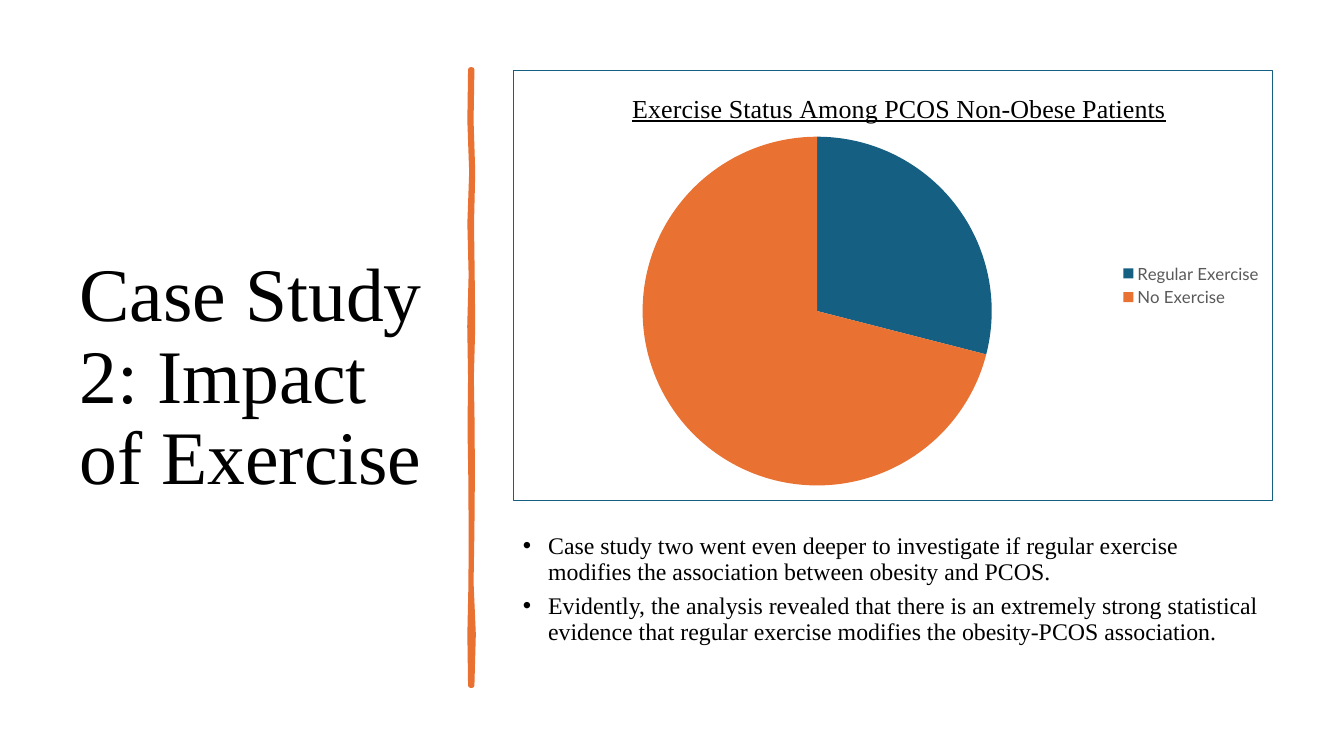
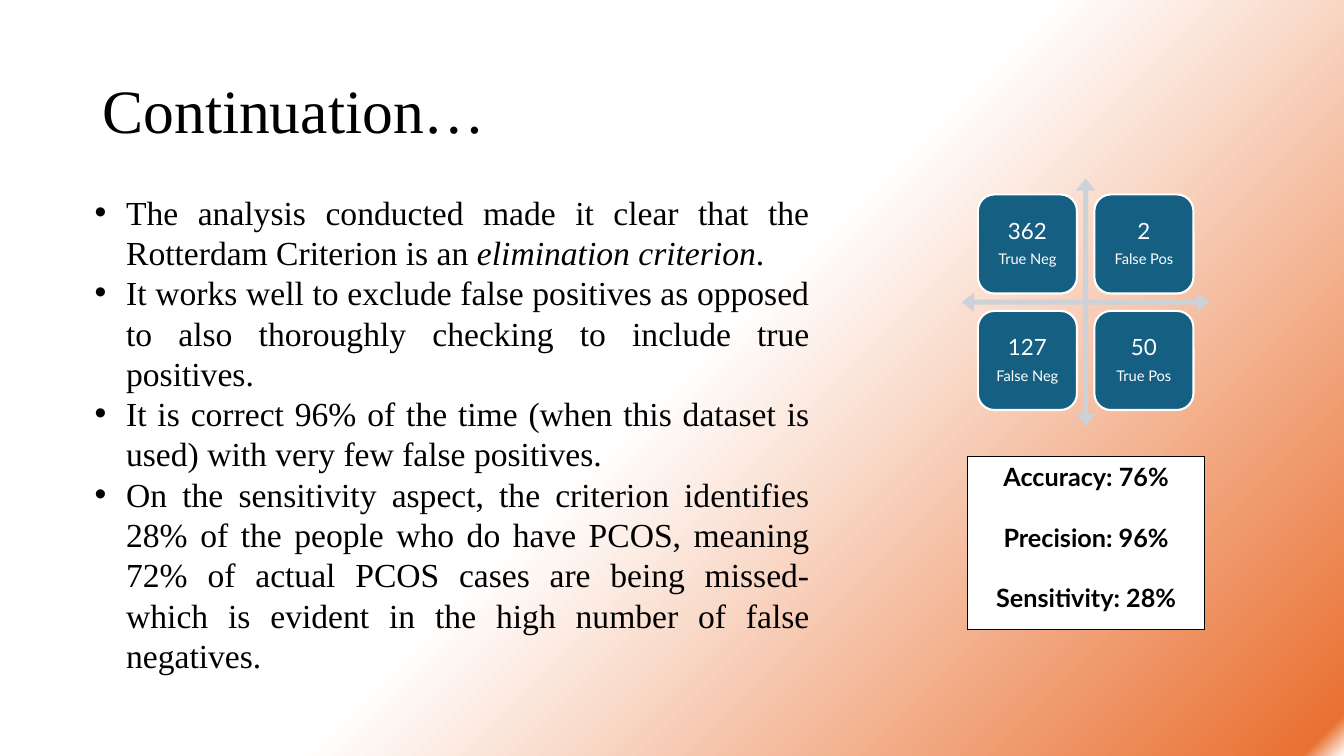
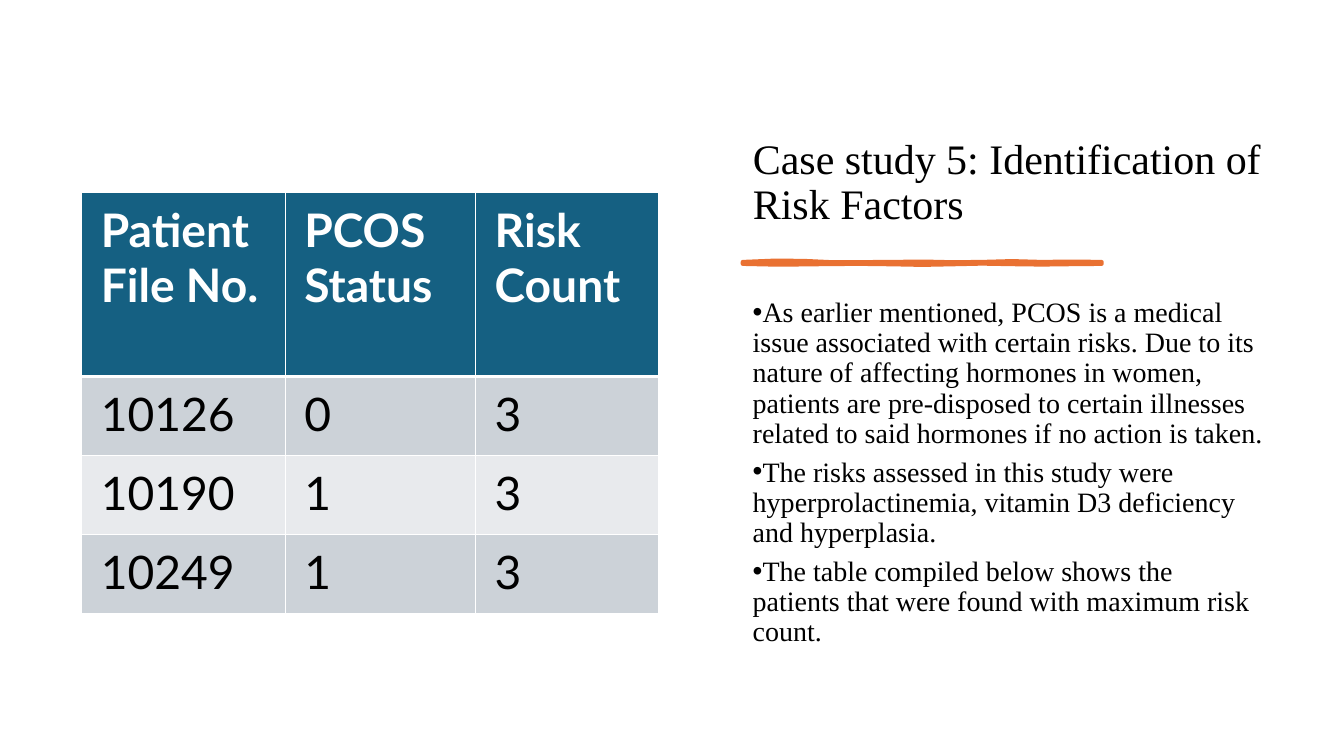
from pptx import Presentation
from pptx import util as u
from pptx.chart import data as chart_data
from pptx.dml import color
from pptx.enum import chart as charts, shapes, text
from pptx.oxml import parse_xml
from pptx.oxml import ns

Pt = u.Pt
COLOURS = {
    "black": "000000", "white": "FFFFFF", "teal": "156082", "orange": "E97132",
    "mist": "CCD2D8", "pale": "E8EAED", "grey": "595959",
}
SERIF, SANS = "Times New Roman", "Lato"
ALIGN = text.PP_ALIGN


def rgb(name):
    return color.RGBColor.from_string(COLOURS[name])


def write(frame, content, size=18, font=SANS, colour="black", bold=False, align=ALIGN.LEFT,
          spacing=1.0, before=0, after=0, bullet=None, underline=False):
    """Add a paragraph; in a tuple of spans every second one is italic."""
    para = frame.add_paragraph() if frame.text else frame.paragraphs[0]
    para.alignment, para.line_spacing = align, spacing
    para.space_before, para.space_after = Pt(before), Pt(after)
    if bullet:
        margin, indent = bullet
        props = para._p.get_or_add_pPr()
        props.set("marL", str(Pt(margin)))
        props.set("indent", str(Pt(indent)))
        props.append(parse_xml(f'<a:buFont {ns.nsdecls("a")} typeface="Arial"/>'))
        props.append(parse_xml(f'<a:buChar {ns.nsdecls("a")} char="•"/>'))
    for index, part in enumerate((content,) if isinstance(content, str) else content):
        span = para.add_run()
        span.text = part
        span.font.name, span.font.size, span.font.bold = font, Pt(size), bold
        span.font.italic, span.font.underline = index % 2 == 1, underline
        span.font.color.rgb = rgb(colour)


def set_layout(parent, index, target="", **values):
    for old in parent.findall(ns.qn("c:layout")):
        parent.remove(old)
    modes = '<c:xMode val="edge"/><c:yMode val="edge"/>'
    numbers = "".join(f'<c:{key} val="{value}"/>' for key, value in values.items())
    parent.insert(index, parse_xml(
        f'<c:layout {ns.nsdecls("c")}><c:manualLayout>{target}{modes}{numbers}'
        "</c:manualLayout></c:layout>"))


class Deck:
    """Hold the shared style and the current slide."""

    def __init__(self):
        self.show = Presentation()
        self.show.slide_width, self.show.slide_height = Pt(960), Pt(540)
        self.page = None

    def add_page(self, title, at, size, anchor):
        self.page = self.show.slides.add_slide(self.show.slide_layouts[5])
        box = self.page.shapes.title
        box.left, box.top, box.width, box.height = map(Pt, at)
        frame = box.text_frame
        frame.auto_size, frame.word_wrap = text.MSO_AUTO_SIZE.NONE, True
        frame.vertical_anchor = anchor
        write(frame, title, size=size, font=SERIF, spacing=0.9)

    def corner_glow(self):
        stops = ((0, "white", 100), (2, "orange", 100), (50, "white", 100), (100, "white", 0))
        marks = "".join(
            f'<a:gs pos="{pos * 1000}"><a:srgbClr val="{COLOURS[name]}">'
            f'<a:alpha val="{alpha * 1000}"/></a:srgbClr></a:gs>' for pos, name, alpha in stops)
        self.page.element.find(ns.qn("p:cSld")).insert(0, parse_xml(
            f'<p:bg {ns.nsdecls("p", "a")}><p:bgPr><a:gradFill rotWithShape="1">'
            f'<a:gsLst>{marks}</a:gsLst><a:path path="circle">'
            '<a:fillToRect l="100000" t="100000"/></a:path>'
            '<a:tileRect r="-100000" b="-100000"/></a:gradFill><a:effectLst/></p:bgPr></p:bg>'))

    def bullets(self, at, items, **style):
        frame = self.page.shapes.add_textbox(*map(Pt, at)).text_frame
        frame.word_wrap = True
        for item in items:
            write(frame, item, font=SERIF, **style)

    def paint(self, shape, fill, line=None, weight=0):
        shape.shadow.inherit = False
        shape.fill.solid()
        shape.fill.fore_color.rgb = rgb(fill)
        if line:
            shape.line.color.rgb = rgb(line)
            shape.line.width = Pt(weight)
        else:
            shape.line.fill.background()

    def shape(self, kind, at, fill, line=None, weight=0):
        shape = self.page.shapes.add_shape(kind, *map(Pt, at))
        self.paint(shape, fill, line, weight)
        return shape

    def brush_line(self, left, top, length, near, far, weight, vertical=False):
        step = length / (len(near) - 1)
        outline = [(i * step, offset) for i, offset in enumerate(near)]
        outline += [(i * step, 1.3 + offset) for i, offset in enumerate(far)][::-1]
        points = [(Pt(left + across), Pt(top + along)) if vertical
                  else (Pt(left + along), Pt(top + across)) for along, across in outline]
        builder = self.page.shapes.build_freeform(*points[0])
        builder.add_line_segments(points[1:], close=True)
        self.paint(builder.convert_to_shape(), "orange", "orange", weight)

    def pie(self, at, title, slices):
        data = chart_data.CategoryChartData()
        data.categories = [name for name, _, _ in slices]
        data.add_series("Series 1", [value for _, value, _ in slices])
        chart = self.page.shapes.add_chart(
            charts.XL_CHART_TYPE.PIE, *map(Pt, at), data).chart
        chart.font.name, chart.font.size = SANS, Pt(10)
        chart.font.color.rgb = rgb("black")
        chart.has_title = True
        write(chart.chart_title.text_frame, title, size=18.6, font=SERIF, underline=True)
        chart.has_legend = True
        legend = chart.legend
        legend.position, legend.include_in_layout = charts.XL_LEGEND_POSITION.RIGHT, False
        legend.font.name, legend.font.size = SANS, Pt(12)
        legend.font.color.rgb = rgb("grey")
        plot = chart.plots[0]
        plot.vary_by_categories = True
        for index, (_, _, name) in enumerate(slices):
            fill = plot.series[0].points[index].format.fill
            fill.solid()
            fill.fore_color.rgb = rgb(name)
        root = chart.element.find(ns.qn("c:chart"))
        set_layout(root.find(ns.qn("c:title")), 1, x=0.15, y=0.04)
        set_layout(root.find(ns.qn("c:plotArea")), 0, '<c:layoutTarget val="inner"/>',
                   x=0.17, y=0.15, w=0.46, h=0.82)
        root.addnext(parse_xml(
            f'<c:spPr {ns.nsdecls("c", "a")}><a:noFill/><a:ln w="{Pt(0.75)}"><a:solidFill>'
            f'<a:srgbClr val="{COLOURS["teal"]}"/></a:solidFill></a:ln></c:spPr>'))

    def table(self, left, top, widths, heights):
        grid = self.page.shapes.add_table(
            len(heights), len(widths), Pt(left), Pt(top), Pt(sum(widths)), Pt(sum(heights))).table
        grid.first_row = grid.horz_banding = False
        for column, width in zip(grid.columns, widths):
            column.width = Pt(width)
        for row, height in zip(grid.rows, heights):
            row.height = Pt(height)
        return grid

    def cell(self, cell, fill, border, weights, margins=(7.2, 3.6)):
        props = cell._tc.get_or_add_tcPr()
        for side, weight in zip("LRTB", weights):
            props.append(parse_xml(
                f'<a:ln{side} {ns.nsdecls("a")} w="{Pt(weight)}"><a:solidFill>'
                f'<a:srgbClr val="{COLOURS[border]}"/></a:solidFill></a:ln{side}>'))
        cell.fill.solid()
        cell.fill.fore_color.rgb = rgb(fill)
        cell.margin_left = cell.margin_right = Pt(margins[0])
        cell.margin_top = cell.margin_bottom = Pt(margins[1])


def exercise_page(deck):
    deck.add_page("Case Study 2: Impact of Exercise", (49.7, 50.4, 269.3, 440), 54,
                  text.MSO_ANCHOR.MIDDLE)
    deck.brush_line(336, 49.7, 440,
                    (0, -0.5, 0.8, -0.5, 0.4, -0.6, 0, -0.4, 0.2, 0.4, 0.3, -0.5, 0),
                    (0, -0.6, 0.6, -0.3, 0.2, 0.6, -0.4, 0.2, 0.3, 0, -0.6, 1, 0),
                    3.25, vertical=True)
    deck.bullets((366.5, 378, 542.9, 112.3), (
        "Case study two went even deeper to investigate if regular exercise modifies the "
        "association between obesity and PCOS.",
        "Evidently, the analysis revealed that there is an extremely strong statistical evidence "
        "that regular exercise modifies the obesity-PCOS association.",
    ), size=17, spacing=0.9, after=6, bullet=(18, -18))
    deck.pie((366.5, 49.7, 542.9, 308.2), "Exercise Status Among PCOS Non-Obese Patients",
             (("Regular Exercise", 29, "teal"), ("No Exercise", 71, "orange")))


def criterion_page(deck):
    deck.add_page("Continuation…", (66, 28.8, 828, 104.4), 44, text.MSO_ANCHOR.MIDDLE)
    deck.corner_glow()
    arrows = deck.shape(shapes.MSO_SHAPE.QUAD_ARROW, (687, 127.4, 177, 177), "mist")
    for index, value in enumerate((0.02, 0.04, 0.05)):
        arrows.adjustments[index] = value
    counts = (("362", "True Neg"), ("2", "False Pos"), ("127", "False Neg"), ("50", "True Pos"))
    for index, (count, label) in enumerate(counts):
        row, column = divmod(index, 2)
        at = (698.5 + column * 83.2, 138.9 + row * 83.2, 70.8, 70.8)
        tile = deck.shape(shapes.MSO_SHAPE.ROUNDED_RECTANGLE, at, "teal", "white", 1.5)
        frame = tile.text_frame
        frame.word_wrap, frame.vertical_anchor = True, text.MSO_ANCHOR.MIDDLE
        frame.margin_left = frame.margin_right = frame.margin_top = frame.margin_bottom = Pt(5)
        for line, size in ((count, 16), (label, 10.5)):
            write(frame, line, size=size, colour="white", align=ALIGN.CENTER,
                  spacing=0.9, after=size * 0.35)
    metrics = deck.table(691.2, 326.2, (169.2,), (123.1,)).cell(0, 0)
    deck.cell(metrics, "white", "black", (0.75,) * 4)
    for index, metric in enumerate(("Accuracy: 76%", "Precision: 96%", "Sensitivity: 28%")):
        write(metrics.text_frame, metric, bold=True, align=ALIGN.CENTER,
              before=21.6 if index else 0)
    deck.bullets((60.5, 133.2, 524.9, 378), (
        ("The analysis conducted made it clear that the Rotterdam Criterion is an ",
         "elimination criterion", "."),
        "It works well to exclude false positives as opposed to also thoroughly checking to "
        "include true positives.",
        "It is correct 96% of the time (when this dataset is used) with very few false positives.",
        "On the sensitivity aspect, the criterion identifies 28% of the people who do have PCOS, "
        "meaning 72% of actual PCOS cases are being missed-which is evident in the high number "
        "of false negatives.",
    ), size=24, align=ALIGN.JUSTIFY, bullet=(22.5, -22.5))


def risk_page(deck):
    deck.add_page("Case study 5: Identification of Risk Factors", (530.6, 50.4, 379.4, 116.6), 30,
                  text.MSO_ANCHOR.BOTTOM)
    deck.brush_line(530.6, 187.2, 256.3,
                    (0, -0.9, -0.8, 0.2, 0.1, 0, -0.3, 0.2, 0, -0.6, 0, -0.3, 0),
                    (0, 0.5, 0.4, 0.1, 0, 0.3, 0.7, 0.3, -0.2, 0.2, 0.5, 0.2, 0), 3)
    deck.bullets((530.6, 209.5, 379.4, 279.4), (
        "As earlier mentioned, PCOS is a medical issue associated with certain risks. Due to its "
        "nature of affecting hormones in women, patients are pre-disposed to certain illnesses "
        "related to said hormones if no action is taken.",
        "The risks assessed in this study were hyperprolactinemia, vitamin D3 deficiency and "
        "hyperplasia.",
        "The table compiled below shows the patients that were found with maximum risk count.",
    ), size=20, spacing=0.9, after=6, bullet=(0, -18))
    rows = (("Patient File No.", "PCOS Status", "Risk Count"),
            ("10126", "0", "3"), ("10190", "1", "3"), ("10249", "1", "3"))
    grid = deck.table(58.3, 137.5, (145.4, 136, 131), (131.5, 56.5, 56.5, 56.5))
    fills = ("teal", "mist", "pale", "mist")
    for row, values in enumerate(rows):
        header = row == 0
        weights = (1, 1, 3 if row == 1 else 1, 3 if header else 1)
        for column, value in enumerate(values):
            cell = grid.cell(row, column)
            deck.cell(cell, fills[row], "white", weights, (13.7, 6.5))
            write(cell.text_frame, value, size=33, bold=header,
                  colour="white" if header else "black")


def main():
    deck = Deck()
    for build in (exercise_page, criterion_page, risk_page):
        build(deck)
    deck.show.save("out.pptx")


if __name__ == "__main__":
    main()
